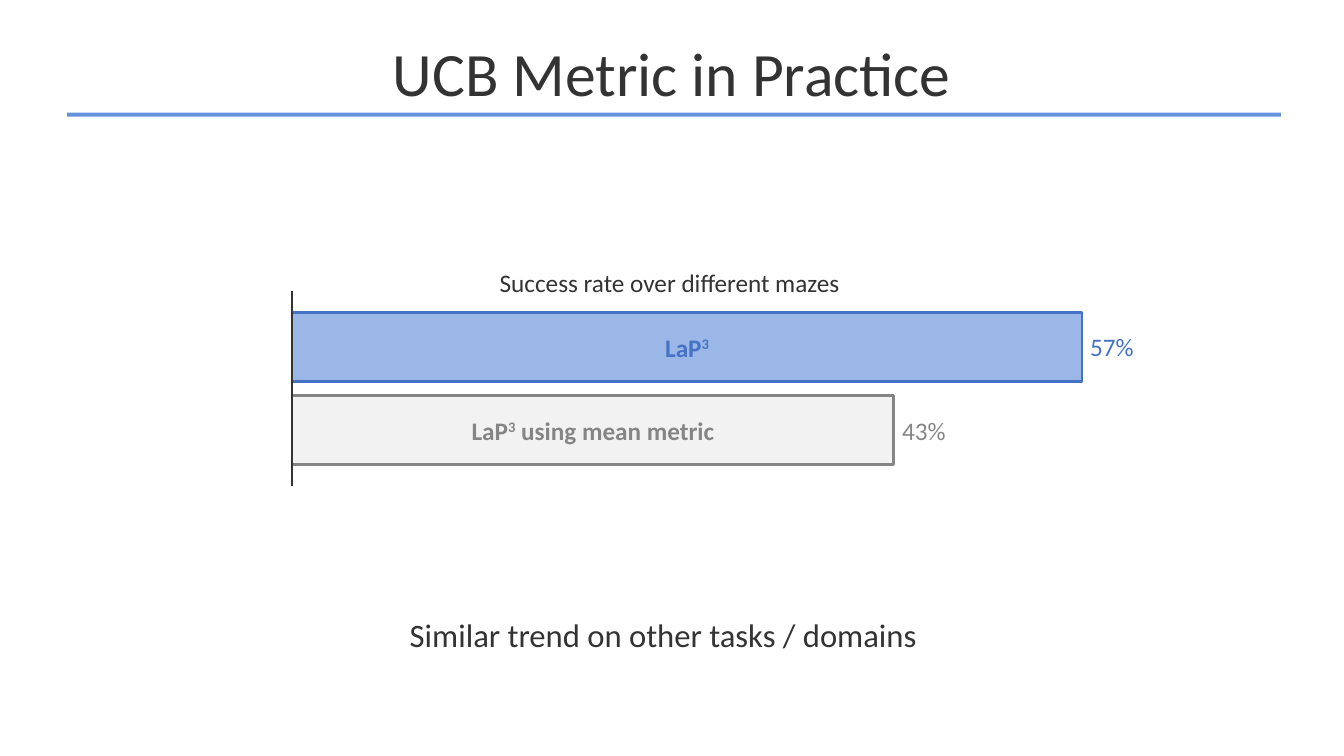
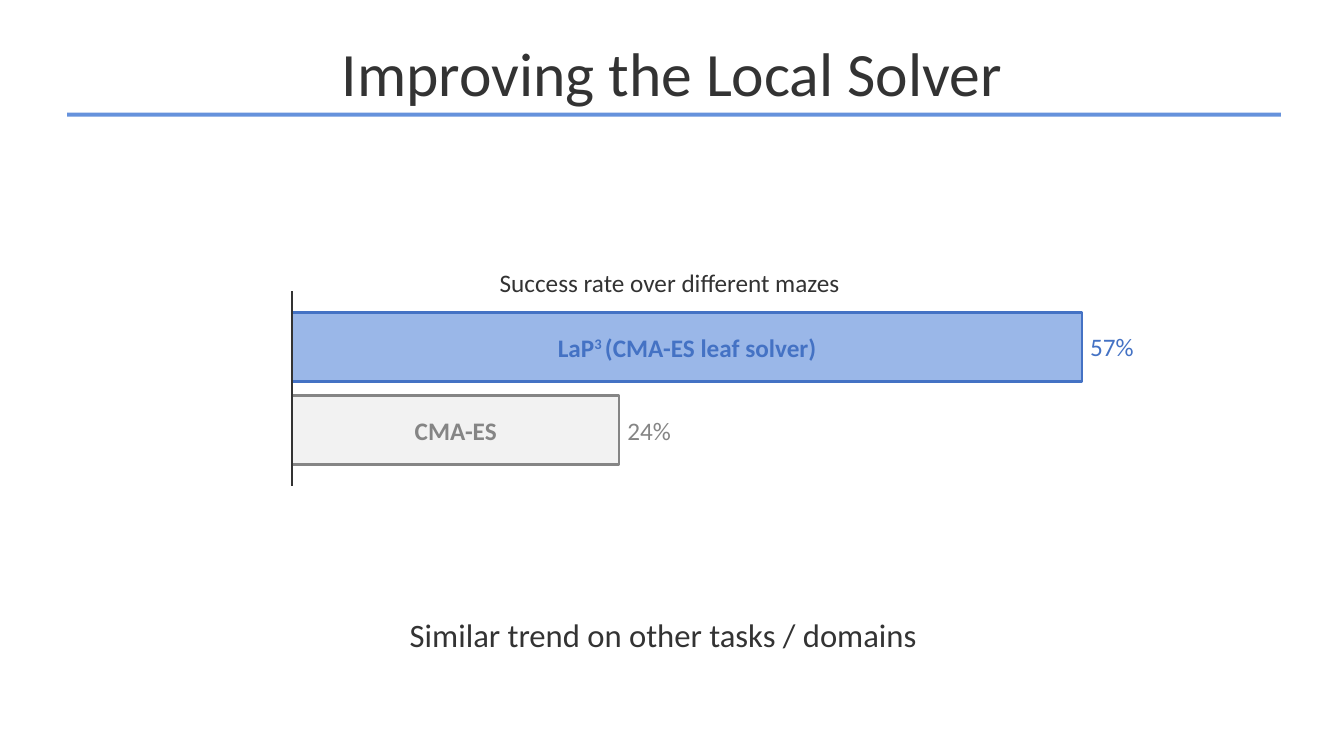
from pptx import Presentation
from pptx.dml.color import RGBColor
from pptx.enum.shapes import MSO_CONNECTOR as Connector, MSO_SHAPE as Shape
from pptx.enum.text import MSO_ANCHOR as Anchor, MSO_AUTO_SIZE as AutoSize, PP_ALIGN as Align
from pptx.oxml.ns import qn
from pptx.util import Inches, Pt
from lxml.etree import SubElement

INK = "333333"
RULE = "6692DC"
BLUE = "4472C4"
LIGHT_BLUE = "9AB7E8"
GRAY = "858585"
LIGHT_GRAY = "F2F2F2"
AXIS_LEFT = 3.48
BAR_TOP = 3.72
BAR_HEIGHT = 0.82
BAR_STEP = 0.99
BAR_COLORS = [(LIGHT_BLUE, BLUE), (LIGHT_GRAY, GRAY)]


def color(value):
    return RGBColor.from_string(value)


class SlideBuilder:
    font_name = "Calibri"
    title_size = 52.8
    label_size = 21.6
    note_size = 28

    def __init__(self, deck):
        self.deck = deck
        self.slide = None

    def add_text(self, frame, spans, size, ink, bold=False, align=Align.LEFT):
        para = frame.paragraphs[0]
        para.alignment = align
        style = {"name": self.font_name, "size": Pt(size), "bold": bold}
        for text, raised in spans:
            span = para.add_run()
            span.text = text
            for name, value in style.items():
                setattr(span.font, name, value)
            span.font.color.rgb = color(ink)
            if raised:
                span.font._element.set("baseline", "30000")

    def rectangle(self, left, top, width, height, fill, line=None):
        box = self.slide.shapes.add_shape(
            Shape.RECTANGLE, Inches(left), Inches(top), Inches(width), Inches(height))
        box.shadow.inherit = False
        box.fill.solid()
        box.fill.fore_color.rgb = color(fill)
        if line:
            box.line.color.rgb = color(line)
            box.line.width = Pt(2)
        else:
            box.line.fill.background()
        return box

    def text_box(self, left, top, width, height):
        return self.slide.shapes.add_textbox(
            Inches(left), Inches(top), Inches(width), Inches(height)).text_frame

    def page(self, title):
        self.slide = self.deck.slides.add_slide(self.deck.slide_layouts[6])
        self.rectangle(0.8, 1.34, 14.45, 0.05, RULE)
        frame = self.text_box(0, 0.19, 16, 1.33)
        frame.word_wrap = True
        frame.vertical_anchor = Anchor.MIDDLE
        self.add_text(frame, [(title, False)], self.title_size, INK, align=Align.CENTER)

    def label(self, left, top, width, height, text, size, ink):
        frame = self.text_box(left, top, width, height)
        frame.word_wrap = False
        frame.auto_size = AutoSize.SHAPE_TO_FIT_TEXT
        self.add_text(frame, [(text, False)], size, ink)

    def bar(self, top, width, spans, fill, ink):
        box = self.rectangle(AXIS_LEFT, top, width, BAR_HEIGHT, fill, ink)
        box.text_frame.vertical_anchor = Anchor.MIDDLE
        self.add_text(box.text_frame, spans, self.label_size, ink, True, Align.CENTER)

    def axis(self):
        line = self.slide.shapes.add_connector(
            Connector.STRAIGHT, Inches(AXIS_LEFT), Inches(3.47), Inches(AXIS_LEFT), Inches(5.79))
        line.line.color.rgb = color(INK)
        line.line.width = Pt(2)
        SubElement(line._element.spPr, qn("a:effectLst"))

    def bars(self, rows):
        self.label(5.85, 3.13, 4.29, 0.46, "Success rate over different mazes",
                   self.label_size, INK)
        for index, ((width, rate, spans), (fill, ink)) in enumerate(zip(rows, BAR_COLORS)):
            top = BAR_TOP + index * BAR_STEP
            self.bar(top, width, spans, fill, ink)
            self.label(AXIS_LEFT + width, top + 0.18, 0.73, 0.46, rate, self.label_size, ink)
        self.axis()

    def note(self, text):
        self.label(4.78, 7.27, 6.3, 0.57, text, self.note_size, INK)


PAGES = [
    ("UCB Metric in Practice", [
        (9.4, "57%", [("LaP", False), ("3", True)]),
        (7.16, "43%", [("LaP", False), ("3", True), (" using mean metric", False)]),
    ]),
    ("Improving the Local Solver", [
        (9.4, "57%", [("LaP", False), ("3 ", True), ("(CMA-ES leaf solver)", False)]),
        (3.89, "24%", [("CMA-ES", False)]),
    ]),
]


def main():
    deck = Presentation()
    deck.slide_width = Inches(16)
    deck.slide_height = Inches(9)
    builder = SlideBuilder(deck)
    for title, rows in PAGES:
        builder.page(title)
        builder.bars(rows)
        builder.note("Similar trend on other tasks / domains")
    deck.save("out.pptx")


if __name__ == "__main__":
    main()
